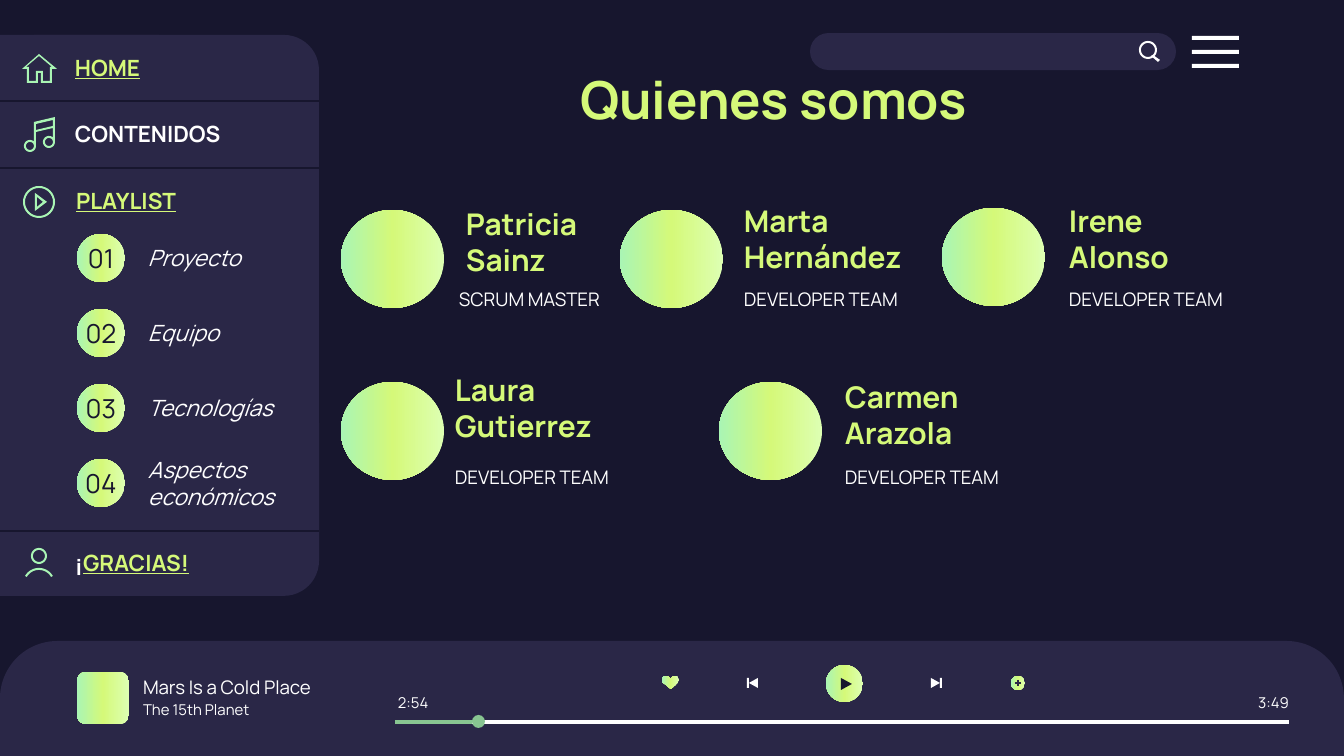
from collections import namedtuple
from copy import deepcopy
from math import cos, radians, sin

from pptx import Presentation
from pptx.dml.color import RGBColor
from pptx.enum.shapes import MSO_CONNECTOR, MSO_SHAPE
from pptx.enum.text import MSO_ANCHOR, PP_ALIGN
from pptx.oxml.ns import qn
from pptx.util import Pt

EMU_PER_PX = 914400 / 134.4
INSET = 13
FONT = "Manrope"

NIGHT = RGBColor(0x17, 0x16, 0x2E)
PANEL = RGBColor(0x2A, 0x27, 0x47)
WHITE = RGBColor(0xFF, 0xFF, 0xFF)
LIME = RGBColor(0xD5, 0xF9, 0x79)
PALE = RGBColor(0xDD, 0xFF, 0xB2)
MINT = RGBColor(0xA9, 0xF5, 0xB4)
PROGRESS = RGBColor(0x88, 0xC5, 0x91)
GRADIENT = ((0, PALE), (0.5, LIME), (1, MINT))

BODY = {"size": Pt(10), "color": WHITE}
SMALL = {"size": Pt(8), "color": WHITE}
ITEM = {"size": Pt(12), "color": WHITE, "italic": True}
NUMBER = {"size": Pt(14), "color": NIGHT}
MENU = {"size": Pt(12), "color": WHITE, "bold": True}
LINK = {"size": Pt(12), "color": LIME, "bold": True, "underline": True}
NAME = {"size": Pt(16), "color": LIME, "bold": True}
TITLE = {"size": Pt(28), "color": LIME, "bold": True}

Box = namedtuple("Box", "left top width height")


def px(value):
    return round(value * EMU_PER_PX)


def inside(box, left, top, width, height):
    return Box(box.left + left, box.top + top, width, height)


def paint(shape, color):
    """Fill with one colour, or with the gradient stops."""
    shape.shadow.inherit = False
    shape.line.fill.background()
    fill = shape.fill
    if color is not GRADIENT:
        fill.solid()
        fill.fore_color.rgb = color
        return
    fill.gradient()
    fill.gradient_angle = 180
    stop_list = shape._element.spPr.find(qn("a:gradFill")).find(qn("a:gsLst"))
    stop_list.insert(1, deepcopy(stop_list[0]))
    for stop, (position, stop_color) in zip(fill.gradient_stops, GRADIENT):
        stop.position = position
        stop.color.rgb = stop_color


def add_shape(slide, kind, box, color, adjustments=()):
    shape = slide.shapes.add_shape(kind, *map(px, box))
    for index, value in enumerate(adjustments):
        shape.adjustments[index] = value
    paint(shape, color)
    return shape


def write(shape, paragraphs, align=PP_ALIGN.LEFT, side_inset=INSET):
    """Each paragraph is a list of (text, format) runs."""
    frame = shape.text_frame
    settings = {"word_wrap": True, "vertical_anchor": MSO_ANCHOR.MIDDLE,
                "margin_left": px(side_inset), "margin_right": px(side_inset),
                "margin_top": px(INSET), "margin_bottom": px(INSET)}
    for key, value in settings.items():
        setattr(frame, key, value)
    for index, runs in enumerate(paragraphs):
        paragraph = frame.add_paragraph() if index else frame.paragraphs[0]
        paragraph.alignment = align
        for text, style in runs:
            run = paragraph.add_run()
            run.text = text
            run.font.name = FONT
            for key, value in style.items():
                if key == "color":
                    run.font.color.rgb = value
                else:
                    setattr(run.font, key, value)


def add_text(slide, box, text, style, **options):
    shape = slide.shapes.add_textbox(*map(px, box))
    write(shape, [[(line, style)] for line in text.split("\n")], **options)


def add_line(slide, box, start, end, color, weight):
    points = [px(value) for x, y in (start, end)
              for value in (box.left + x, box.top + y)]
    line = slide.shapes.add_connector(MSO_CONNECTOR.STRAIGHT, *points)
    line.line.color.rgb = color
    line.line.width = Pt(weight)
    properties = line._element.spPr
    properties.append(properties.makeelement(qn("a:effectLst"), {}))


def arc(x, y, radius, start=0, end=360, steps=32):
    angles = [radians(start + (end - start) * i / steps) for i in range(steps + 1)]
    return [(x + radius * cos(a), y + radius * sin(a)) for a in angles]


def add_outline(slide, box, color, *contours):
    """One freeform; later contours cut holes in the first."""
    contours = [[(px(box.left + x), px(box.top + y)) for x, y in contour]
                for contour in contours]
    builder = slide.shapes.build_freeform(*contours[0][0], scale=1.0)
    for index, contour in enumerate(contours):
        if index:
            builder.move_to(*contour[0])
        builder.add_line_segments(contour[1:], close=True)
    paint(builder.convert_to_shape(), color)


def build_search(slide, box):
    add_shape(slide, MSO_SHAPE.ROUNDED_RECTANGLE, inside(box, 0, 0, 366, box.height), PANEL, [0.5])
    for row in range(3):
        add_shape(slide, MSO_SHAPE.RECTANGLE, inside(box, 382, 3 + 14 * row, 47, 4), WHITE)
    add_outline(slide, box, WHITE, arc(338, 17, 9), arc(338, 17, 7))
    add_outline(slide, box, WHITE, [(343, 22), (341, 23), (348, 29), (350, 27)])


def build_menu_icons(slide, box):
    # House
    add_outline(slide, box, MINT,
                [(39, 19), (22, 34), (27, 34), (27, 48), (38, 48), (38, 38),
                 (41, 38), (41, 48), (52, 48), (52, 34), (57, 34)],
                [(39, 21), (52, 32), (50, 32), (50, 46), (43, 46), (43, 36),
                 (36, 36), (36, 46), (29, 46), (29, 32), (26, 32)])
    # Music note
    add_outline(slide, box, MINT,
                [(55, 82), (34, 87), *arc(30, 111, 6, -48, -360), (36, 97),
                 (53, 93), *arc(49, 107, 6, -48, -360)],
                [(53, 85), (53, 91), (36, 95), (36, 89)],
                arc(30, 111, 4), arc(49, 107, 4))
    # Play button
    add_outline(slide, box, MINT, arc(39, 167, 16), arc(39, 167, 14))
    add_outline(slide, box, MINT, [(35, 158), (35, 176), (47, 167)],
                [(37, 162), (37, 172), (43, 167)])
    # Person
    add_outline(slide, box, MINT, arc(39, 521, 8), arc(39, 521, 6))
    add_outline(slide, box, MINT, arc(39, 549, 16, 210, 330) + arc(39, 549, 14, 330, 210))


def build_menu(slide, box):
    add_shape(slide, MSO_SHAPE.RECTANGLE, inside(box, 0, 0, box.width // 2, box.height), PANEL)
    add_shape(slide, MSO_SHAPE.ROUNDED_RECTANGLE, box, PANEL, [0.11])
    for y in (66, 133, 496):
        add_line(slide, box, (box.width, y), (0, y), NIGHT, 1.5)
    build_menu_icons(slide, box)

    add_text(slide, inside(box, 62, 9, 280, 48), "HOME", LINK)
    add_text(slide, inside(box, 62, 75, 280, 48), "CONTENIDOS", MENU)
    add_text(slide, inside(box, 63, 142, 175, 48), "PLAYLIST", LINK)
    thanks = slide.shapes.add_textbox(*map(px, inside(box, 62, 504, 280, 48)))
    write(thanks, [[("¡", MENU), ("GRACIAS!", LINK)]])

    # Numbered playlist
    items = ("Proyecto", "Equipo", "Tecnologías", "Aspectos económicos")
    for index, item in enumerate(items):
        top = 199 + 75 * index
        badge = add_shape(slide, MSO_SHAPE.OVAL, inside(box, 77, top, 48, 48), GRADIENT)
        write(badge, [[(f"{index + 1:02}", NUMBER)]], PP_ALIGN.CENTER, 0)
        add_text(slide, inside(box, 135, top - 11, 175, 70), item, ITEM)


def build_member(slide, box, name, role, name_offset, role_offset):
    add_shape(slide, MSO_SHAPE.OVAL, box, GRADIENT)
    add_text(slide, inside(box, *name_offset, 238, 64), name, NAME)
    add_text(slide, inside(box, *role_offset, 267, 59), role, BODY)


def build_player(slide, box):
    add_shape(slide, MSO_SHAPE.ROUND_2_SAME_RECTANGLE, box, PANEL, [0.5, 0])
    # Song and times
    add_shape(slide, MSO_SHAPE.ROUNDED_RECTANGLE, inside(box, 77, 31, 52, 52), GRADIENT, [0.17])
    add_text(slide, inside(box, 130, 35, 257, 23), "Mars Is a Cold Place", BODY)
    add_text(slide, inside(box, 130, 57, 155, 23), "The 15th Planet", SMALL)
    add_text(slide, inside(box, 398, 50, 36, 23), "2:54", SMALL, side_inset=0)
    add_text(slide, inside(box, 1253, 50, 36, 23), "3:49", SMALL,
             align=PP_ALIGN.RIGHT, side_inset=0)
    # Heart, previous, play, next, add
    add_outline(slide, box, GRADIENT, arc(666, 39, 4, 140, 340)
                + arc(675, 39, 4, 200, 400) + [(671, 48)])
    add_shape(slide, MSO_SHAPE.RECTANGLE, inside(box, 747, 37, 2, 10), WHITE)
    add_outline(slide, box, WHITE, [(758, 37), (749, 42), (758, 47)])
    add_shape(slide, MSO_SHAPE.OVAL, inside(box, 826, 24, 37, 37), GRADIENT)
    add_outline(slide, box, NIGHT, [(841, 37), (841, 49), (852, 43)])
    add_outline(slide, box, WHITE, [(931, 37), (931, 47), (940, 42)])
    add_shape(slide, MSO_SHAPE.RECTANGLE, inside(box, 940, 37, 2, 10), WHITE)
    add_shape(slide, MSO_SHAPE.OVAL, inside(box, 1011, 35, 14, 14), GRADIENT)
    add_line(slide, box, (1018, 39), (1018, 45), PANEL, 0.75)
    add_line(slide, box, (1015, 42), (1021, 42), PANEL, 0.75)
    # Progress
    add_line(slide, box, (398, 81), (1289, 81), WHITE, 2.25)
    add_line(slide, box, (395, 81), (472, 81), PROGRESS, 2.25)
    add_shape(slide, MSO_SHAPE.OVAL, inside(box, 472, 74, 13, 13), PROGRESS)


def main():
    presentation = Presentation()
    presentation.slide_width, presentation.slide_height = px(1344), px(756)
    slide = presentation.slides.add_slide(presentation.slide_layouts[6])
    slide.background.fill.solid()
    slide.background.fill.fore_color.rgb = NIGHT

    build_search(slide, Box(810, 33, 429, 37))
    build_menu(slide, Box(0, 35, 319, 561))
    build_player(slide, Box(0, 641, 1344, 115))
    add_text(slide, Box(351, 56, 855, 85), "Quienes somos ", TITLE, align=PP_ALIGN.CENTER)

    developer = "DEVELOPER TEAM"
    members = (
        (341, 210, "Patricia\nSainz", "SCRUM MASTER", (112, 0), (105, 60)),
        (620, 210, "Marta Hernández", developer, (111, -3), (111, 60)),
        (942, 208, "Irene\nAlonso", developer, (114, -1), (114, 62)),
        (341, 382, "Laura\nGutierrez", developer, (101, -6), (101, 66)),
        (719, 382, "Carmen\nArazola", developer, (113, 1), (113, 66)),
    )
    for left, top, *details in members:
        build_member(slide, Box(left, top, 103, 98), *details)
    presentation.save("out.pptx")


if __name__ == "__main__":
    main()
